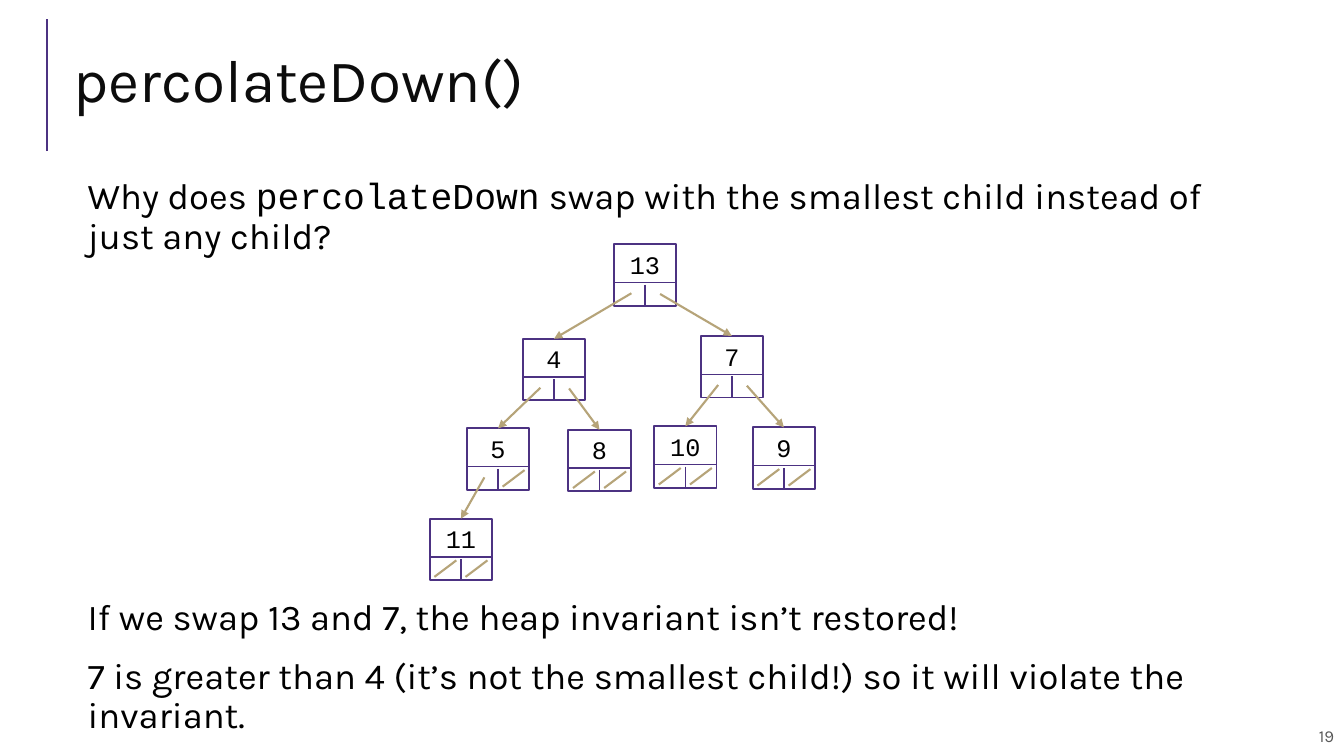
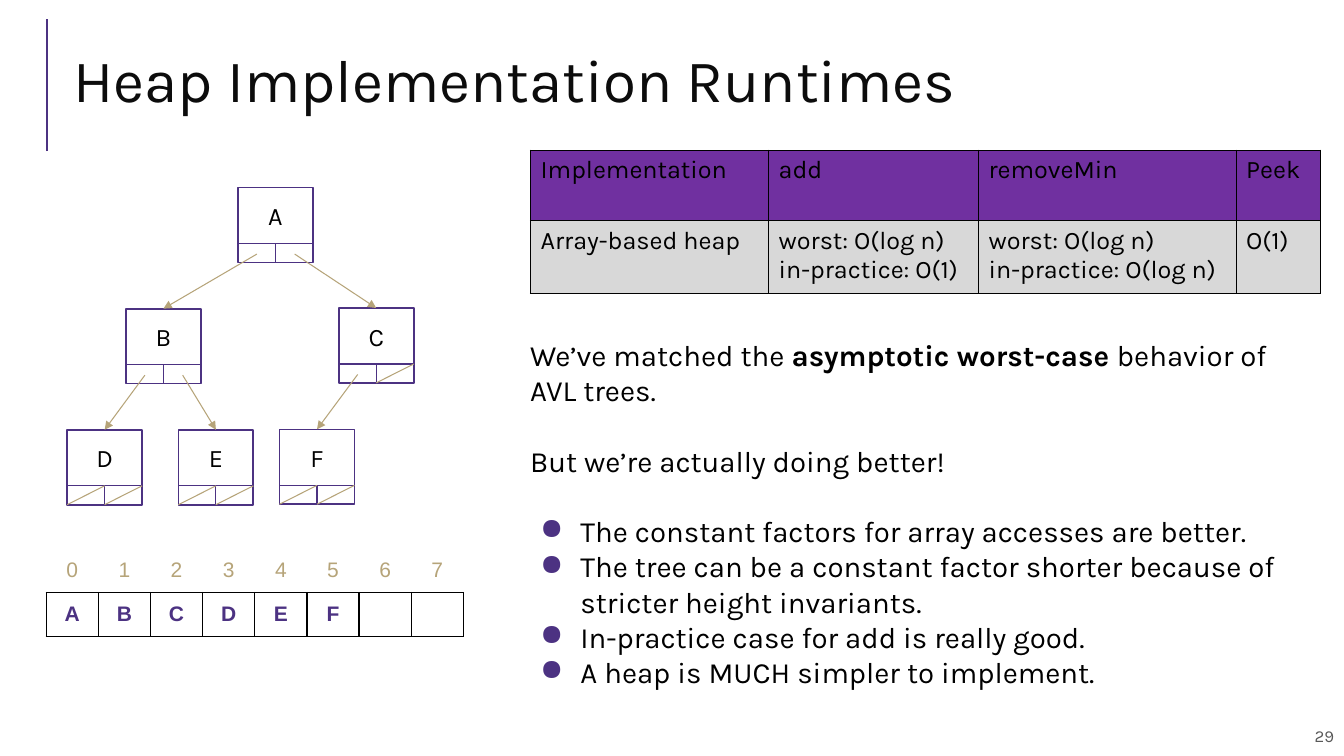
from lxml import etree
from pptx import Presentation
from pptx.dml.color import RGBColor
from pptx.enum.shapes import MSO_CONNECTOR, MSO_SHAPE
from pptx.enum.text import MSO_ANCHOR, MSO_AUTO_SIZE, PP_ALIGN
from pptx.oxml.ns import qn
from pptx.util import Pt

COLORS = {
    "purple": "4C3282", "gold": "B6A479", "title": "0C0C0C", "text": "000000",
    "number": "595959", "header": "7030A0", "row": "D8D8D8", "white": "FFFFFF",
}
FONT, CODE_FONT, ARRAY_FONT = "Karla", "Courier New", "Arial"
TOP, BOTTOM = 0, 2  # connection sites of a rectangle

# A paragraph is a list of (text, run style) pairs.
QUESTION = [[("Why does ", {}), ("percolateDown", {"name": CODE_FONT}),
             (" swap with the smallest child instead of just any child?", {})]]
ANSWER = [
    [("If we swap 13 and 7, the heap invariant isn’t restored!", {})],
    [("7 is greater than 4 (it’s not the smallest child!) so it will violate the invariant.", {})],
]
CONCLUSIONS = [
    [("We’ve matched the ", {}), ("asymptotic worst-case ", {"bold": True}),
     ("behavior of AVL trees.", {})],
    [("But we’re actually doing better!", {})],
]
ADVANTAGES = [
    [("The constant factors for array accesses are better.", {})],
    [("The tree can be a constant factor shorter because of stricter height invariants.", {})],
    [("In-practice case for add is really good.", {})],
    [("A heap is MUCH simpler to implement.", {})],
]

# Node: (left, top, left child, right child)
NUMBER_TREE = {
    "13": (438.5, 174.5, "4", "7"),
    "4": (373.5, 242, "5", "8"),
    "7": (500.5, 240, "10", "9"),
    "5": (333.5, 306, "11", None),
    "8": (406, 307, None, None),
    "10": (467.3, 304.5, None, None),
    "9": (537.7, 305.3, None, None),
    "11": (307, 370.5, None, None),
}
LETTER_TREE = {
    "A": (170, 134, "B", "C"),
    "B": (90, 220.5, "D", "E"),
    "C": (242, 220, "F", None),
    "D": (48, 307, None, None),
    "E": (127.5, 307, None, None),
    "F": (199.7, 306.7, None, None),
}
# Offsets are measured from the top left corner of a node.
NUMBER_STYLE = {
    "width": 44.5, "height": 44, "divider": 27.4, "stem_gap": 1.5, "font": CODE_FONT,
    "label_top": 3.6, "divider_width": 1, "pointer_width": 1.5,
    "pointer_starts": [(12.5, 35), (33, 35.5)], "null_inset": (3.3, 2.4),
}
LETTER_STYLE = {
    "width": 53.5, "height": 53.5, "divider": 40, "stem_gap": 0, "font": FONT,
    "label_top": 9.2, "divider_width": 0.75, "pointer_width": 0.75,
    "pointer_starts": [(13.5, 47.5), (40.5, 47.5)], "null_inset": (0, 0),
}

HEAP_ARRAY = [list("01234567"), list("ABCDEF") + ["", ""]]
HEAP_ARRAY_ROWS = [
    {"fill": "white", "color": "gold", "bold": False, "sides": "B"},
    {"fill": "white", "color": "purple", "bold": True, "sides": "LRTB"},
]
RUNTIMES = [
    ["Implementation", "add", "removeMin", "Peek"],
    ["Array-based heap", "worst: O(log n)\nin-practice: O(1)",
     "worst: O(log n)\nin-practice: O(log n)", "O(1)"],
]
RUNTIME_ROWS = [
    {"fill": fill, "color": "text", "bold": False, "sides": "LRTB"}
    for fill in ("header", "row")
]


def rgb(name):
    return RGBColor.from_string(COLORS[name])


def format_font(font, name=FONT, size=18, color="text", bold=False):
    font.name, font.size, font.bold = name, Pt(size), bold
    font.color.rgb = rgb(color)


def set_margins(target, horizontal, vertical):
    target.margin_left = target.margin_right = Pt(horizontal)
    target.margin_top = target.margin_bottom = Pt(vertical)


def add_line(slide, start, end, color, width, arrow=False, joined=None):
    """Draw a line; joined is the (shape, site) that its end is attached to."""
    line = slide.shapes.add_connector(MSO_CONNECTOR.STRAIGHT, *map(Pt, start + end))
    if joined:
        line.end_connect(*joined)
    line.line.color.rgb = rgb(color)
    line.line.width = Pt(width)
    if arrow:
        etree.SubElement(line.line._get_or_add_ln(), qn("a:tailEnd"), type="triangle")
    etree.SubElement(line._element.spPr, qn("a:effectLst"))


def add_bullet(paragraph):
    properties = paragraph._p.get_or_add_pPr()
    properties.set("marL", str(Pt(36)))
    properties.set("indent", str(Pt(-28.8)))
    color = etree.SubElement(properties, qn("a:buClr"))
    etree.SubElement(color, qn("a:srgbClr"), val=COLORS["purple"])
    etree.SubElement(properties, qn("a:buChar"), char="●")


def add_text(slide, box, margins, paragraphs, size, color="text", line_spacing=1.0):
    """Add a text box and return its text frame."""
    frame = slide.shapes.add_textbox(*map(Pt, box)).text_frame
    frame.word_wrap = True
    set_margins(frame, *margins)
    for index, runs in enumerate(paragraphs):
        paragraph = frame.paragraphs[0] if index == 0 else frame.add_paragraph()
        paragraph.line_spacing = line_spacing
        for text, style in runs:
            run = paragraph.add_run()
            run.text = text
            format_font(run.font, **{"size": size, "color": color, **style})
    return frame


def add_titled_slide(presentation, title, number):
    slide = presentation.slides.add_slide(presentation.slide_layouts[5])
    add_line(slide, (33.8, 108), (33.8, 13.7), "purple", 1.5)
    shape = slide.shapes.title
    shape.left, shape.top, shape.width, shape.height = map(Pt, (45.4, 21, 880.5, 80))
    frame = shape.text_frame
    frame.text = title
    frame.auto_size = MSO_AUTO_SIZE.NONE
    frame.vertical_anchor = MSO_ANCHOR.MIDDLE
    set_margins(frame, 7.2, 3.6)
    paragraph = frame.paragraphs[0]
    paragraph.alignment = PP_ALIGN.LEFT
    paragraph.line_spacing = 0.8
    format_font(paragraph.runs[0].font, size=43, color="title")
    frame = add_text(slide, (623, 511, 337, 29), (7.2, 7.2),
                     [[(str(number), {})]], 12, "number")
    frame.vertical_anchor = MSO_ANCHOR.MIDDLE
    frame.paragraphs[0].alignment = PP_ALIGN.RIGHT
    return slide


def add_node(slide, label, left, top, style):
    node = slide.shapes.add_shape(
        MSO_SHAPE.RECTANGLE, *map(Pt, (left, top, style["width"], style["height"])))
    node.shadow.inherit = False
    node.fill.background()
    node.line.color.rgb = rgb("purple")
    node.line.width = Pt(1.25)
    frame = node.text_frame
    frame.text = label
    frame.vertical_anchor = MSO_ANCHOR.TOP
    set_margins(frame, 0, 0)
    frame.margin_top = Pt(style["label_top"])
    frame.paragraphs[0].alignment = PP_ALIGN.CENTER
    format_font(frame.paragraphs[0].runs[0].font, name=style["font"])
    return node


def add_tree(slide, tree, style):
    """Draw the nodes, then their dividers, child arrows and null slashes."""
    nodes = {label: add_node(slide, label, left, top, style)
             for label, (left, top, *_) in tree.items()}
    half = style["width"] / 2
    inset_x, inset_y = style["null_inset"]
    for label, (left, top, *children) in tree.items():
        divider, bottom = top + style["divider"], top + style["height"]
        add_line(slide, (left, divider), (left + style["width"], divider),
                 "purple", style["divider_width"])
        add_line(slide, (left + half, divider + style["stem_gap"]), (left + half, bottom),
                 "purple", style["divider_width"], joined=(nodes[label], BOTTOM))
        for index, child in enumerate(children):
            if child:
                offset_x, offset_y = style["pointer_starts"][index]
                start = (left + offset_x, top + offset_y)
                child_left, child_top, *_ = tree[child]
                add_line(slide, start, (child_left + half, child_top), "gold",
                         style["pointer_width"], arrow=True, joined=(nodes[child], TOP))
            else:
                cell = left + index * half
                add_line(slide, (cell + inset_x, bottom - inset_y),
                         (cell + half - inset_x, divider + inset_y),
                         "gold", style["pointer_width"])


def add_borders(cell, sides):
    properties = cell._tc.get_or_add_tcPr()
    for index, side in enumerate(sides):
        border = etree.Element(qn(f"a:ln{side}"), w=str(Pt(1)))
        fill = etree.SubElement(border, qn("a:solidFill"))
        etree.SubElement(fill, qn("a:srgbClr"), val=COLORS["text"])
        properties.insert(index, border)


def add_grid(slide, rows, row_styles, position, widths, heights, font, size, margins,
             centered=False):
    shape = slide.shapes.add_table(
        len(rows), len(widths), *map(Pt, position + (sum(widths), sum(heights))))
    table = shape.table
    table.first_row = table.horz_banding = False
    for column, width in zip(table.columns, widths):
        column.width = Pt(width)
    for row, height, texts, style in zip(table.rows, heights, rows, row_styles):
        row.height = Pt(height)
        for cell, text in zip(row.cells, texts):
            cell.text_frame.text = text
            cell.vertical_anchor = MSO_ANCHOR.MIDDLE if centered else MSO_ANCHOR.TOP
            set_margins(cell, *margins)
            cell.fill.solid()
            cell.fill.fore_color.rgb = rgb(style["fill"])
            add_borders(cell, style["sides"])
            for paragraph in cell.text_frame.paragraphs:
                paragraph.alignment = PP_ALIGN.CENTER if centered else PP_ALIGN.LEFT
                for run in paragraph.runs:
                    format_font(run.font, font, size, style["color"], style["bold"])


def build_percolate_slide(presentation):
    slide = add_titled_slide(presentation, "percolateDown()", 19)
    add_text(slide, (59, 124, 817, 64), (3.6, 3.6), QUESTION, 26, line_spacing=0.9)
    add_tree(slide, NUMBER_TREE, NUMBER_STYLE)
    frame = add_text(slide, (55.5, 420.5, 860, 86), (7.2, 7.2), ANSWER, 26, line_spacing=0.9)
    frame.paragraphs[1].space_before = Pt(14)


def build_runtimes_slide(presentation):
    slide = add_titled_slide(presentation, "Heap Implementation Runtimes", 29)
    add_tree(slide, LETTER_TREE, LETTER_STYLE)
    add_grid(slide, HEAP_ARRAY, HEAP_ARRAY_ROWS, (33, 391.5), [37.25] * 8, [31.7] * 2,
             ARRAY_FONT, 15, (5.8, 2.9), centered=True)
    add_grid(slide, RUNTIMES, RUNTIME_ROWS, (379, 107.3), [170, 150, 184, 60], [50.5, 51.7],
             FONT, 18, (7.2, 3.6))
    frame = add_text(slide, (371.5, 237, 572, 262), (7.2, 3.6), CONCLUSIONS + ADVANTAGES, 21)
    first_bullet = len(CONCLUSIONS)
    for paragraph in frame.paragraphs[first_bullet:]:
        add_bullet(paragraph)
    for paragraph in frame.paragraphs[1:first_bullet + 1]:
        paragraph.space_before = Pt(25.2)


def main():
    presentation = Presentation()
    presentation.slide_width, presentation.slide_height = Pt(960), Pt(540)
    build_percolate_slide(presentation)
    build_runtimes_slide(presentation)
    presentation.save("out.pptx")


if __name__ == "__main__":
    main()
